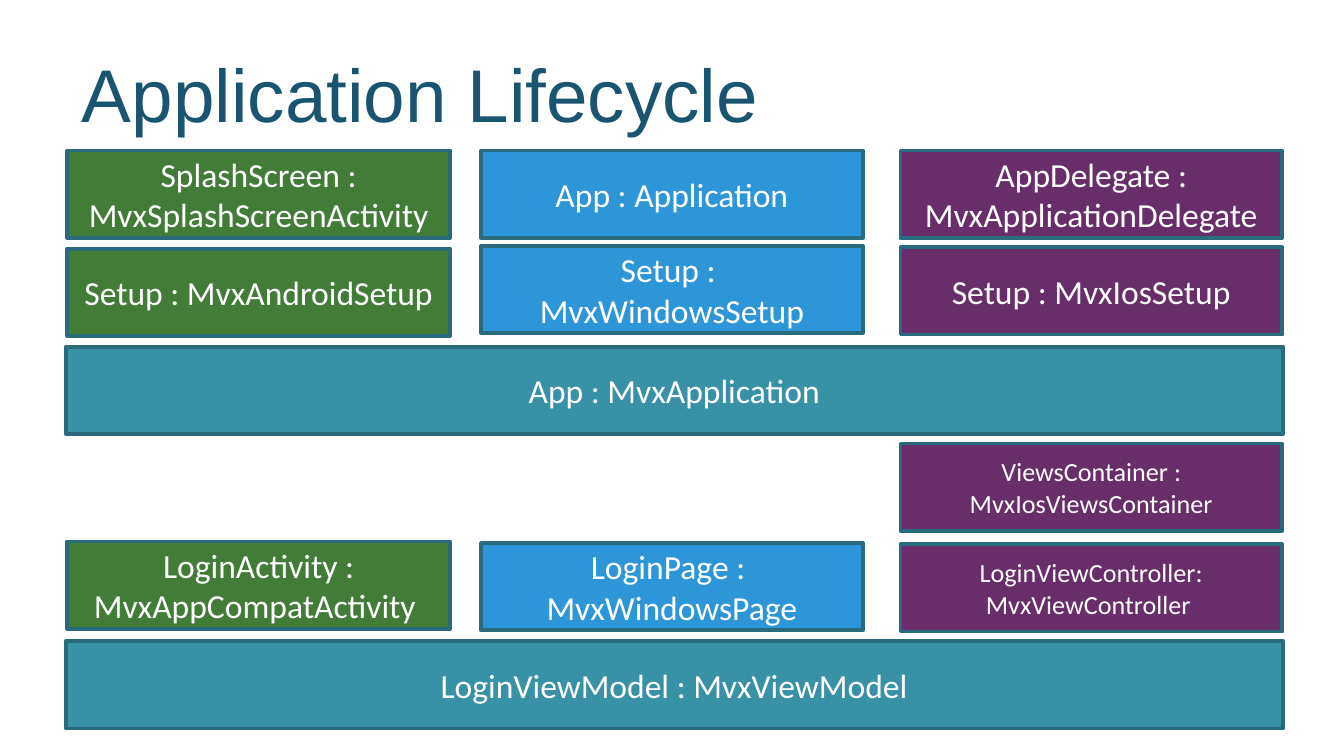
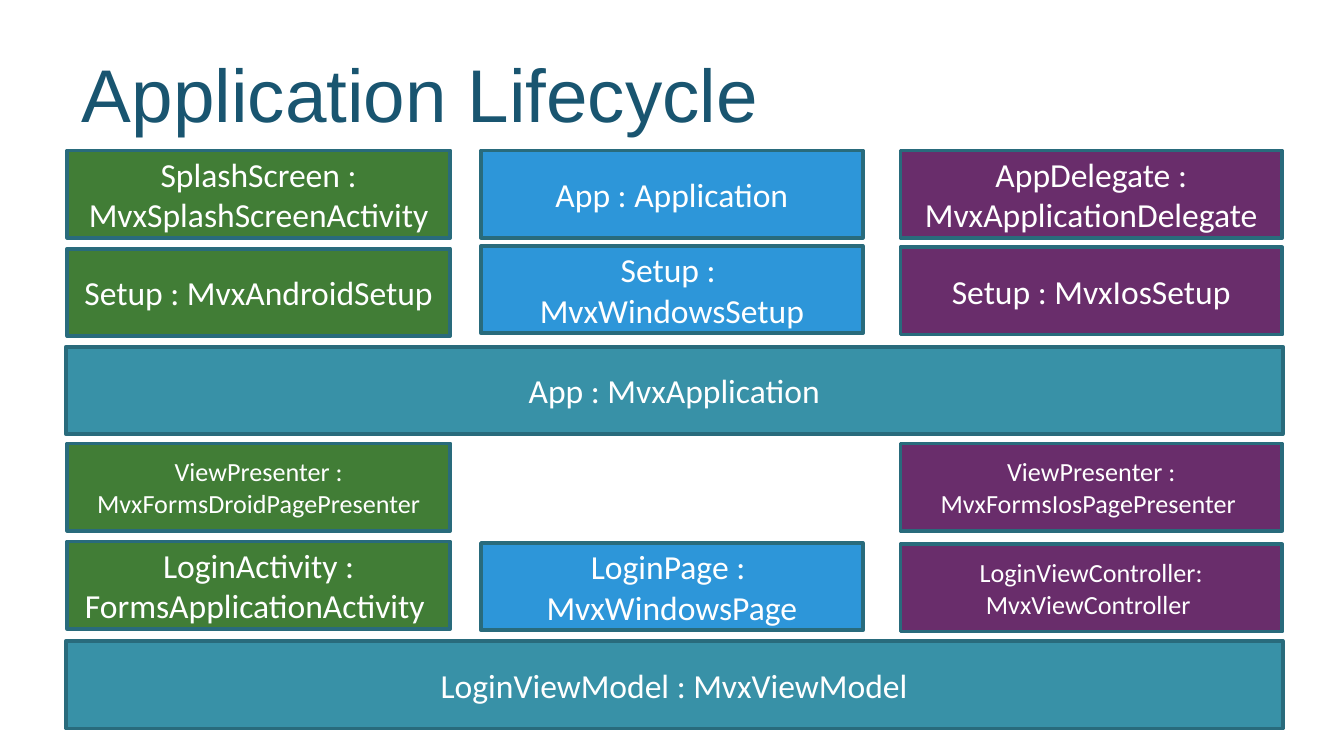
from pptx import Presentation
from pptx.dml.color import RGBColor
from pptx.enum.shapes import MSO_SHAPE
from pptx.enum.text import MSO_ANCHOR, MSO_AUTO_SIZE, PP_ALIGN
from pptx.util import Pt

EMU_PER_PX = 4572
COLORS = {
    "title": "195570",
    "android": "417D36",
    "windows": "2D96D9",
    "ios": "692D6B",
    "shared": "3891A7",
    "border": "296B7C",
    "text": "FFFFFF",
}
COLUMNS = {
    "android": (100, 570),
    "windows": (716, 568),
    "ios": (1340, 568),
    "shared": (98, 1811),
}
ROW_TOPS = {
    "android": (224, 370, 516, 660, 806, 954),
    "windows": (224, 366, 516, 660, 808, 954),
    "ios": (224, 368, 516, 660, 810, 954),
    "shared": (224, 368, 516, 660, 808, 954),
}
BOX_HEIGHT = 130
LARGE, SMALL = 18, 14

COMMON_BOXES = [
    ("android", 0, ["SplashScreen : MvxSplashScreenActivity"], LARGE),
    ("android", 1, ["Setup : MvxAndroidSetup"], LARGE),
    ("shared", 2, ["App : MvxApplication"], LARGE),
    ("shared", 5, ["LoginViewModel : MvxViewModel"], LARGE),
    ("ios", 0, ["AppDelegate : MvxApplicationDelegate"], LARGE),
    ("ios", 1, ["Setup : MvxIosSetup"], LARGE),
    ("ios", 4, ["LoginViewController: MvxViewController "], SMALL),
    ("windows", 0, ["App : Application"], LARGE),
    ("windows", 1, ["Setup : ", "MvxWindowsSetup"], LARGE),
    ("windows", 4, ["LoginPage : ", "MvxWindowsPage"], LARGE),
]
NATIVE_BOXES = [
    ("android", 4, ["LoginActivity : MvxAppCompatActivity "], LARGE),
    ("ios", 3, ["ViewsContainer : MvxIosViewsContainer"], SMALL),
]
FORMS_BOXES = [
    ("android", 4, ["LoginActivity : FormsApplicationActivity "], LARGE),
    ("ios", 3, ["ViewPresenter : MvxFormsIosPagePresenter "], SMALL),
    ("android", 3, ["ViewPresenter : MvxFormsDroidPagePresenter"], SMALL),
]


def px(value):
    return value * EMU_PER_PX


def color(name):
    return RGBColor.from_string(COLORS[name])


def write_paragraph(paragraph, text, font_name, size, color_name, alignment):
    paragraph.alignment = alignment
    run = paragraph.add_run()
    run.text = text
    run.font.name = font_name
    run.font.size = Pt(size)
    run.font.color.rgb = color(color_name)


def add_title(slide, text):
    title = slide.shapes.title
    title.left, title.top, title.width, title.height = map(px, (102, 44, 1800, 188))
    frame = title.text_frame
    frame.auto_size = MSO_AUTO_SIZE.NONE
    frame.vertical_anchor = MSO_ANCHOR.MIDDLE
    write_paragraph(frame.paragraphs[0], text, "Arial", 40, "title", PP_ALIGN.LEFT)


def add_box(slide, column, row, lines, size):
    left, width = COLUMNS[column]
    top = ROW_TOPS[column][row]
    shape = slide.shapes.add_shape(
        MSO_SHAPE.RECTANGLE, px(left), px(top), px(width), px(BOX_HEIGHT)
    )
    shape.shadow.inherit = False
    shape.fill.solid()
    shape.fill.fore_color.rgb = color(column)
    shape.line.color.rgb = color("border")
    shape.line.width = Pt(2)
    frame = shape.text_frame
    frame.word_wrap = True
    frame.vertical_anchor = MSO_ANCHOR.MIDDLE
    for index, line in enumerate(lines):
        paragraph = frame.add_paragraph() if index else frame.paragraphs[0]
        write_paragraph(paragraph, line, "Calibri", size, "text", PP_ALIGN.CENTER)


def add_lifecycle_slide(presentation, boxes):
    slide = presentation.slides.add_slide(presentation.slide_layouts[5])
    add_title(slide, "Application Lifecycle")
    for box in COMMON_BOXES + boxes:
        add_box(slide, *box)


def main():
    presentation = Presentation()
    presentation.slide_width = px(2000)
    presentation.slide_height = px(1125)
    for boxes in (NATIVE_BOXES, FORMS_BOXES):
        add_lifecycle_slide(presentation, boxes)
    presentation.save("out.pptx")


if __name__ == "__main__":
    main()
